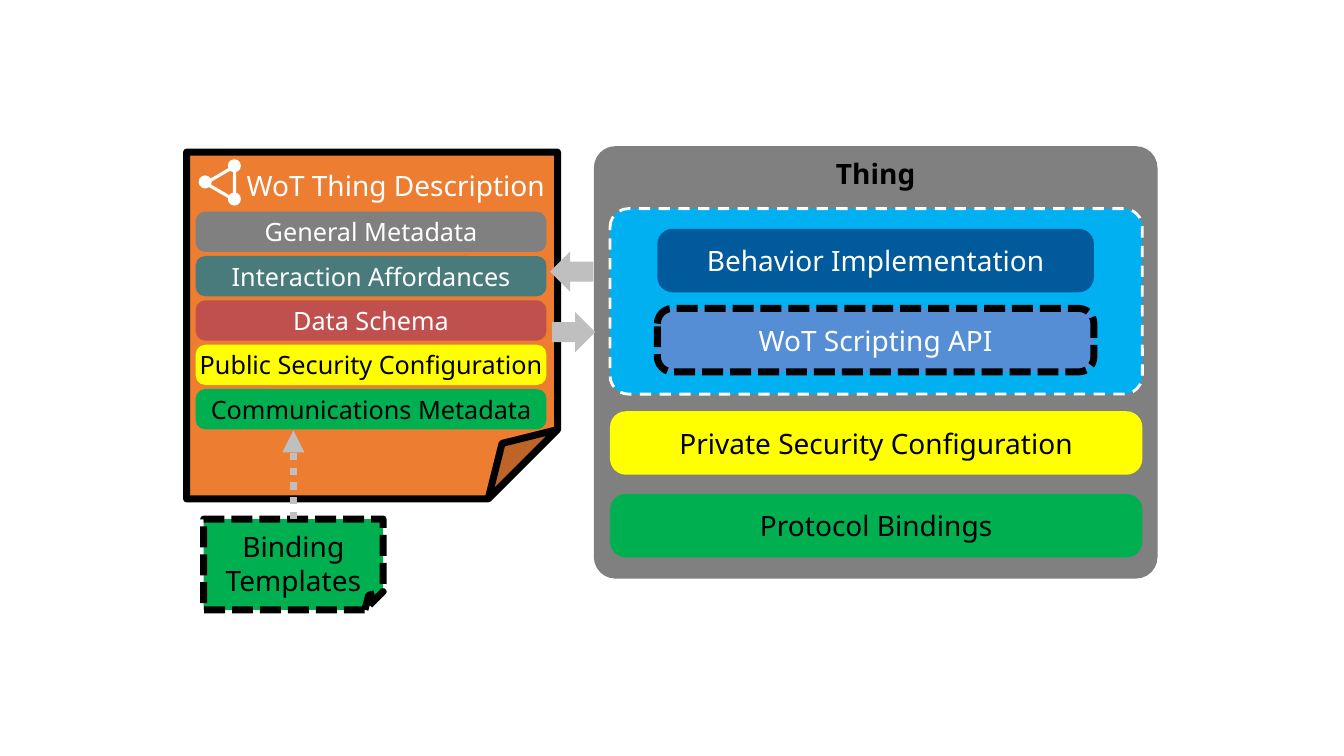
"""Build the slide that shows a WoT Thing and its Thing Description."""
from dataclasses import dataclass
from typing import Any, Optional

from lxml import etree
from pptx import Presentation
from pptx.dml.color import RGBColor
from pptx.enum.dml import MSO_LINE
from pptx.enum.shapes import MSO_CONNECTOR, MSO_SHAPE
from pptx.enum.text import MSO_ANCHOR, PP_ALIGN
from pptx.oxml.ns import qn
from pptx.util import Inches, Pt

ROUND, FOLDED = MSO_SHAPE.ROUNDED_RECTANGLE, MSO_SHAPE.FOLDED_CORNER
TRIANGLE, OVAL = MSO_SHAPE.ISOSCELES_TRIANGLE, MSO_SHAPE.OVAL
ARROW = MSO_SHAPE.DOWN_ARROW
STRAIGHT = MSO_CONNECTOR.STRAIGHT
DASH, SHORT_DASH, DOT = MSO_LINE.DASH, MSO_LINE.SQUARE_DOT, MSO_LINE.ROUND_DOT
TOP, MIDDLE, CENTER = MSO_ANCHOR.TOP, MSO_ANCHOR.MIDDLE, PP_ALIGN.CENTER
FONT = "Noto Sans"
BLACK, WHITE, GRAY, SILVER = "000000", "FFFFFF", "808080", "BFBFBF"
YELLOW, GREEN = "FFFF00", "00B050"
INSETS = (0.1, 0.05, 0.1, 0.05)


@dataclass
class Box:
    """A preset shape with its place, look and text."""
    kind: Any
    left: float
    top: float
    width: float
    height: float
    fill: Optional[str] = None
    adj: Optional[float] = None
    line: Optional[str] = None
    weight: float = 5
    dash: Any = None
    rotation: float = 0
    text: str = ""
    size: float = 20
    color: str = BLACK
    bold: bool = False
    anchor: Any = MIDDLE
    insets: tuple[float, ...] = INSETS


def rgb(value: str) -> RGBColor:
    """Turn a hex string into a colour."""
    return RGBColor.from_string(value)


def write(sp: Any, text: str, *, size: float, color: str, bold: bool,
          anchor: Any, insets: tuple[float, ...]) -> None:
    """Put centred text in a shape, with a line break at each newline."""
    tf = sp.text_frame
    tf.word_wrap = False
    tf.vertical_anchor = anchor
    tf.margin_left, tf.margin_top, tf.margin_right, tf.margin_bottom = map(Inches, insets)
    p = tf.paragraphs[0]
    p.alignment = CENTER
    for i, words in enumerate(text.splitlines()):
        if i:
            p.add_line_break()
        r = p.add_run()
        r.text = words
        r.font.name, r.font.size, r.font.bold = FONT, Pt(size), bold
        r.font.color.rgb = rgb(color)


def adjust(sp: Any, value: float) -> None:
    """Set the first adjustment, adding the guide where the shape lists none."""
    if len(sp.adjustments):
        sp.adjustments[0] = value
    else:
        guides = sp._element.spPr.find(qn("a:prstGeom")).get_or_add_avLst()
        etree.SubElement(guides, qn("a:gd"), name="adj", fmla=f"val {round(value * 100000)}")


def draw(s: Any, box: Box) -> Any:
    """Draw one box and return its shape."""
    sp = s.shapes.add_shape(box.kind, Inches(box.left), Inches(box.top),
                            Inches(box.width), Inches(box.height))
    sp.shadow.inherit = False
    sp.rotation = box.rotation
    if box.adj is not None:
        adjust(sp, box.adj)
    if box.fill:
        sp.fill.solid()
        sp.fill.fore_color.rgb = rgb(box.fill)
    else:
        sp.fill.background()
    if box.line:
        sp.line.color.rgb = rgb(box.line)
        sp.line.width = Pt(box.weight)
        if box.dash:
            sp.line.dash_style = box.dash
    else:
        sp.line.fill.background()
    if box.text:
        write(sp, box.text, size=box.size, color=box.color, bold=box.bold,
              anchor=box.anchor, insets=box.insets)
    return sp


def draw_arrow(s: Any, source: Any, x: float, y: float) -> None:
    """Draw a dotted arrow from the top of a shape to a point."""
    line = s.shapes.add_connector(STRAIGHT, 0, 0, Inches(x), Inches(y))
    line.begin_connect(source, 0)
    line.line.color.rgb = rgb(SILVER)
    line.line.width = Pt(5.25)
    line.line.dash_style = DOT
    etree.SubElement(line._element.spPr.find(qn("a:ln")), qn("a:tailEnd"), type="triangle")
    etree.SubElement(line._element.spPr, qn("a:effectLst"))


PANELS = [
    Box(ROUND, 5.89, 1.45, 5.59, 4.29, GRAY, 0.05, text="Thing", bold=True,
        anchor=TOP, insets=(0.1, 0.04, 0.1, 0.08)),
    Box(ROUND, 6.05, 2.07, 5.28, 1.84, "00B0F0", 0.1, WHITE, 2, DASH),
    Box(FOLDED, 1.85, 1.51, 3.68, 3.44, "ED7D31", 0.2, BLACK,
        text="WoT Thing Description", color=WHITE, anchor=TOP,
        insets=(0.47, 0.16, 0, 0)),
]
ICON = [Box(TRIANGLE, 2.09, 1.63, 0.33, 0.29, line=WHITE, weight=2.25, rotation=30)] + [
    Box(OVAL, x, y, 0.13, 0.13, WHITE)
    for x, y in ((2.26, 1.58), (1.97, 1.74), (2.26, 1.91))
]
METADATA = [
    Box(ROUND, 1.94, 2.1 + 0.44 * i, 3.48, 0.4, fill, 0.24, text=text, size=18, color=color)
    for i, (text, fill, color) in enumerate([
        ("General Metadata", GRAY, WHITE),
        ("Interaction Affordances", "4A7B7C", WHITE),
        ("Data Schema", "C0504D", WHITE),
        ("Public Security Configuration", YELLOW, BLACK),
        ("Communications Metadata", GREEN, BLACK),
    ])
]
EXCHANGE = [
    Box(ARROW, x, y, 0.4, 0.43, SILVER, 0.5, rotation=rotation)
    for x, y, rotation in ((5.47, 2.48, 90), (5.49, 3.08, 270))
]
THING_PARTS = [
    Box(ROUND, 6.52, 2.27, 4.33, 0.63, "005A9C", 0.24,
        text="Behavior Implementation", color=WHITE),
    Box(ROUND, 6.52, 3.06, 4.33, 0.63, "558ED5", 0.24, BLACK, dash=SHORT_DASH,
        text="WoT Scripting API", color=WHITE),
    Box(ROUND, 6.05, 4.08, 5.28, 0.63, YELLOW, 0.25, text="Private Security Configuration"),
    Box(ROUND, 6.05, 4.9, 5.28, 0.63, GREEN, 0.25, text="Protocol Bindings"),
]
TEMPLATES = Box(FOLDED, 2.02, 5.15, 1.78, 0.9, GREEN, 0.2, BLACK, dash=SHORT_DASH,
                text="Binding\nTemplates", insets=(0, 0.16, 0, 0))


def main() -> None:
    """Build and save the slide."""
    prs = Presentation()
    prs.slide_width, prs.slide_height = Inches(13.33), Inches(7.5)
    s = prs.slides.add_slide(prs.slide_layouts[6])
    for box in PANELS + ICON + METADATA + EXCHANGE + THING_PARTS:
        draw(s, box)
    draw_arrow(s, draw(s, TEMPLATES), 2.91, 4.27)
    prs.save("out.pptx")


if __name__ == "__main__":
    main()
